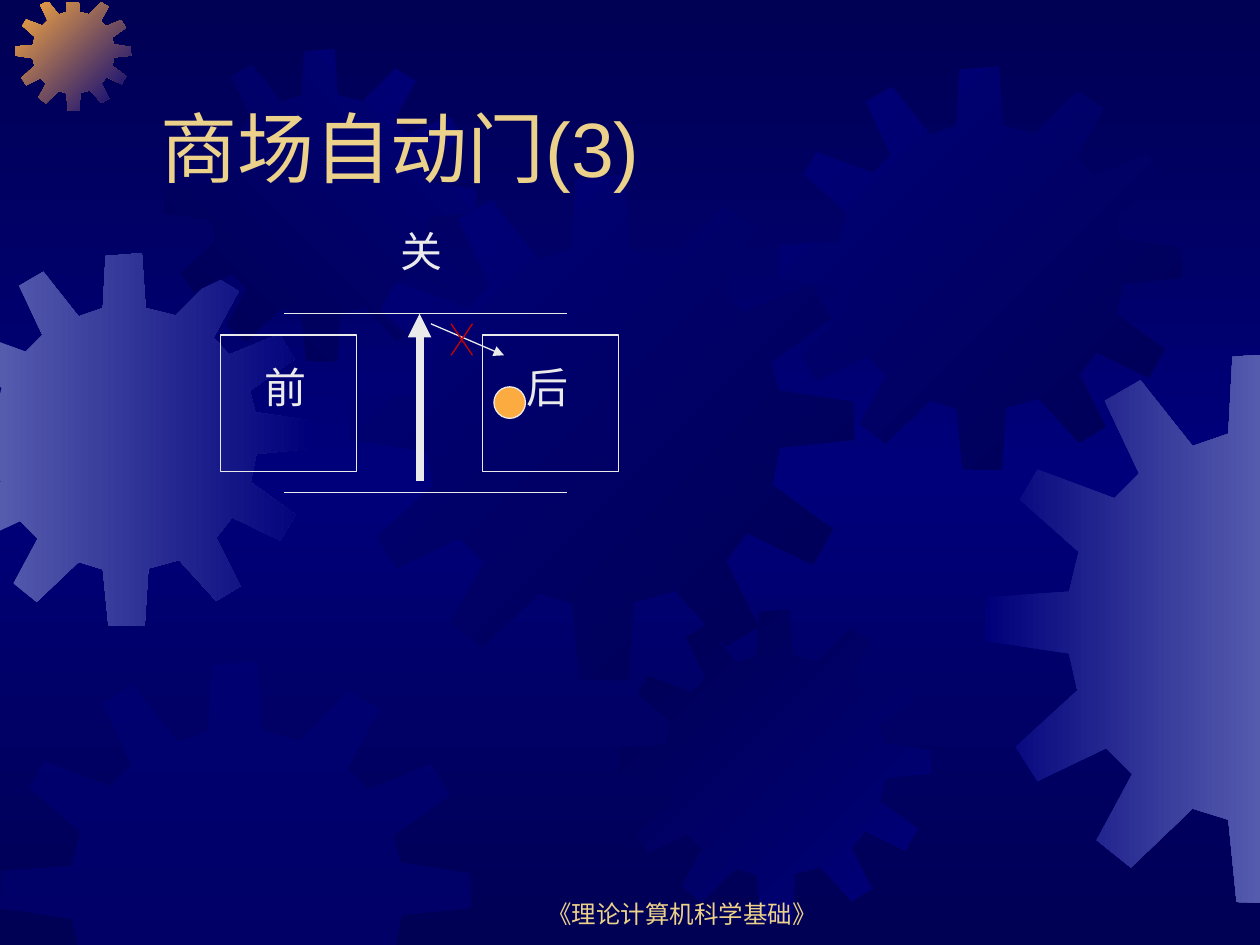
from copy import deepcopy
from lxml import etree
from pptx import Presentation
from pptx import util as u
from pptx.dml.color import RGBColor
from pptx.enum import shapes as kinds, text as txt
from pptx.oxml.ns import qn

NAVY, BLUE, LILAC = "000054", "00007A", "555BAD"
GOLD, PALE, AMBER, RED = "EBD189", "EAEAEA", "FCAB40", "CC0000"
WIDE, HIGH = 10, 7.5

UNIT = 401
GEAR = [
    (255, 67), (223, 59), (219, 0), (180, 3), (177, 59), (151, 68),
    (113, 20), (87, 35), (112, 88), (94, 106), (38, 85), (25, 107),
    (68, 145), (61, 174), (1, 178), (0, 210), (61, 219), (67, 246),
    (22, 287), (38, 312), (88, 288), (107, 307), (81, 355), (106, 375),
    (151, 332), (177, 340), (183, 400), (222, 401), (226, 339), (259, 330),
    (299, 374), (325, 358), (299, 306), (316, 284), (368, 309), (384, 281),
    (336, 246), (342, 216), (401, 210), (400, 180), (341, 171), (335, 148),
    (383, 114), (367, 87), (313, 109), (296, 91), (323, 41), (297, 25),
]
# left, top, size, colours, clockwise angle
GEARS = [
    (-0.49, 2.01, 2.96, (LILAC, BLUE), 0),
    (0.12, -0.04, 0.92, (AMBER, BLUE), 45),
    (1.3, 0.39, 2.48, (NAVY, BLUE), 315),
    (2.77, 1.39, 4.01, (BLUE, NAVY), 45),
    (0, 5.25, 3.74, (BLUE,), 0),
    (4.91, 4.84, 2.48, (NAVY, BLUE), 45),
    (6.18, 0.53, 3.2, (BLUE, NAVY), 45),
    (7.82, 2.8, 4.37, (BLUE, LILAC), 0),
]
EDGES = [(0, 0, 1), (0, WIDE, -1), (1, 0.02, 1), (1, HIGH, -1)]

TITLE = "商场自动门(3)"
FOOT = "《理论计算机科学基础》"
LABELS = [("前", 2, 2.82), ("后", 4.08, 2.82), ("关", 3.08, 1.74)]
PADS = [(1.75, 2.66), (3.83, 2.66)]
LINES = [
    (3.33, 3.82, 3.33, 2.49, PALE, 4.5, True),
    (2.25, 2.49, 4.5, 2.49, PALE, 0.75, False),
    (2.25, 3.91, 4.5, 3.91, PALE, 0.75, False),
    (3.42, 2.57, 4, 2.82, PALE, 0.75, True),
    (3.58, 2.82, 3.75, 2.57, RED, 0.75, False),
    (3.58, 2.57, 3.75, 2.82, RED, 0.75, False),
]


def paint(color, code):
    color.rgb = RGBColor.from_string(code)


def blend(fill, codes, angle):
    fill.gradient()
    fill.gradient_angle = (360 - angle) % 360
    for stop, code, place in zip(fill.gradient_stops, codes, (0, 1)):
        paint(stop.color, code)
        stop.position = place


def clip(points, axis, edge, sign):
    kept = []
    for a, b in zip(points[-1:] + points[:-1], points):
        da, db = sign * (a[axis] - edge), sign * (b[axis] - edge)
        if da * db < 0:
            t = da / (da - db)
            kept.append(tuple(p + t * (q - p) for p, q in zip(a, b)))
        if db >= 0:
            kept.append(b)
    return kept


def add_gear(slide, left, top, size, codes, angle):
    points = [(left + x * size / UNIT, top + y * size / UNIT) for x, y in GEAR]
    for edge in EDGES:
        points = clip(points, *edge)
    points = [(u.Inches(x), u.Inches(y)) for x, y in points]
    pen = slide.shapes.build_freeform(*points[0])
    pen.add_line_segments(points[1:], close=True)
    gear = pen.convert_to_shape()
    gear.shadow.inherit = False
    gear.line.fill.background()
    if len(codes) > 1:
        blend(gear.fill, codes, angle)
    else:
        gear.fill.solid()
        paint(gear.fill.fore_color, codes[0])
        tint = next(gear.element.spPr.iter(qn("a:srgbClr")))
        etree.SubElement(tint, qn("a:alpha"), val="50000")


def add_shape(slide, kind, left, top, size, code=None):
    shape = slide.shapes.add_shape(kind, *map(u.Inches, (left, top, size, size)))
    shape.shadow.inherit = False
    if code:
        shape.fill.solid()
        paint(shape.fill.fore_color, code)
    else:
        shape.fill.background()
    paint(shape.line.color, PALE)
    shape.line.width = u.Pt(0.75)


def add_line(slide, x1, y1, x2, y2, code, width, arrow):
    line = slide.shapes.add_connector(
        kinds.MSO_CONNECTOR.STRAIGHT, *map(u.Inches, (x1, y1, x2, y2)))
    paint(line.line.color, code)
    line.line.width = u.Pt(width)
    if arrow:
        etree.SubElement(line.line._get_or_add_ln(), qn("a:tailEnd"), type="triangle")
    etree.SubElement(line.element.spPr, qn("a:effectLst"))


def write(box, words, size, face, code, align, anchor):
    frame = box.text_frame
    frame.text = words
    frame.word_wrap = True
    frame.vertical_anchor = anchor
    para = frame.paragraphs[0]
    para.alignment = align
    para.font.size = u.Pt(size)
    para.font.name = face
    paint(para.font.color, code)


def add_text(slide, place, *style):
    write(slide.shapes.add_textbox(*map(u.Inches, place)), *style)


def main():
    deck = Presentation()
    deck.slide_width, deck.slide_height = u.Inches(WIDE), u.Inches(HIGH)
    slide = deck.slides.add_slide(deck.slide_layouts[5])
    left, mid = txt.PP_ALIGN.LEFT, txt.PP_ALIGN.CENTER
    top, base = txt.MSO_ANCHOR.TOP, txt.MSO_ANCHOR.BOTTOM

    blend(slide.background.fill, (NAVY, NAVY), 90)
    stops = next(slide.element.iter(qn("a:gsLst")))
    center = deepcopy(stops[0])
    center.set("pos", "50000")
    center[0].set("val", BLUE)
    stops.insert(1, center)

    for gear in GEARS:
        add_gear(slide, *gear)

    add_text(slide, (3.83, 6.92, 3.17, 0.5), FOOT, 14, "Arial", GOLD, mid, base)
    title = slide.shapes.title
    title.left, title.top, title.width, title.height = map(
        u.Inches, (1.17, 0.33, 8.5, 1.25))
    write(title, TITLE, 44, "Arial", GOLD, left, base)
    title.element.getparent().append(title.element)

    for pad in PADS:
        add_shape(slide, kinds.MSO_SHAPE.RECTANGLE, *pad, 1.08)
    for words, x, y in LABELS:
        add_text(slide, (x, y, 0.67, 0.5), words, 24, "Arial Narrow", PALE, left, top)
    add_shape(slide, kinds.MSO_SHAPE.OVAL, 3.92, 3.07, 0.25, AMBER)
    for line in LINES:
        add_line(slide, *line)

    deck.save("out.pptx")


if __name__ == "__main__":
    main()
